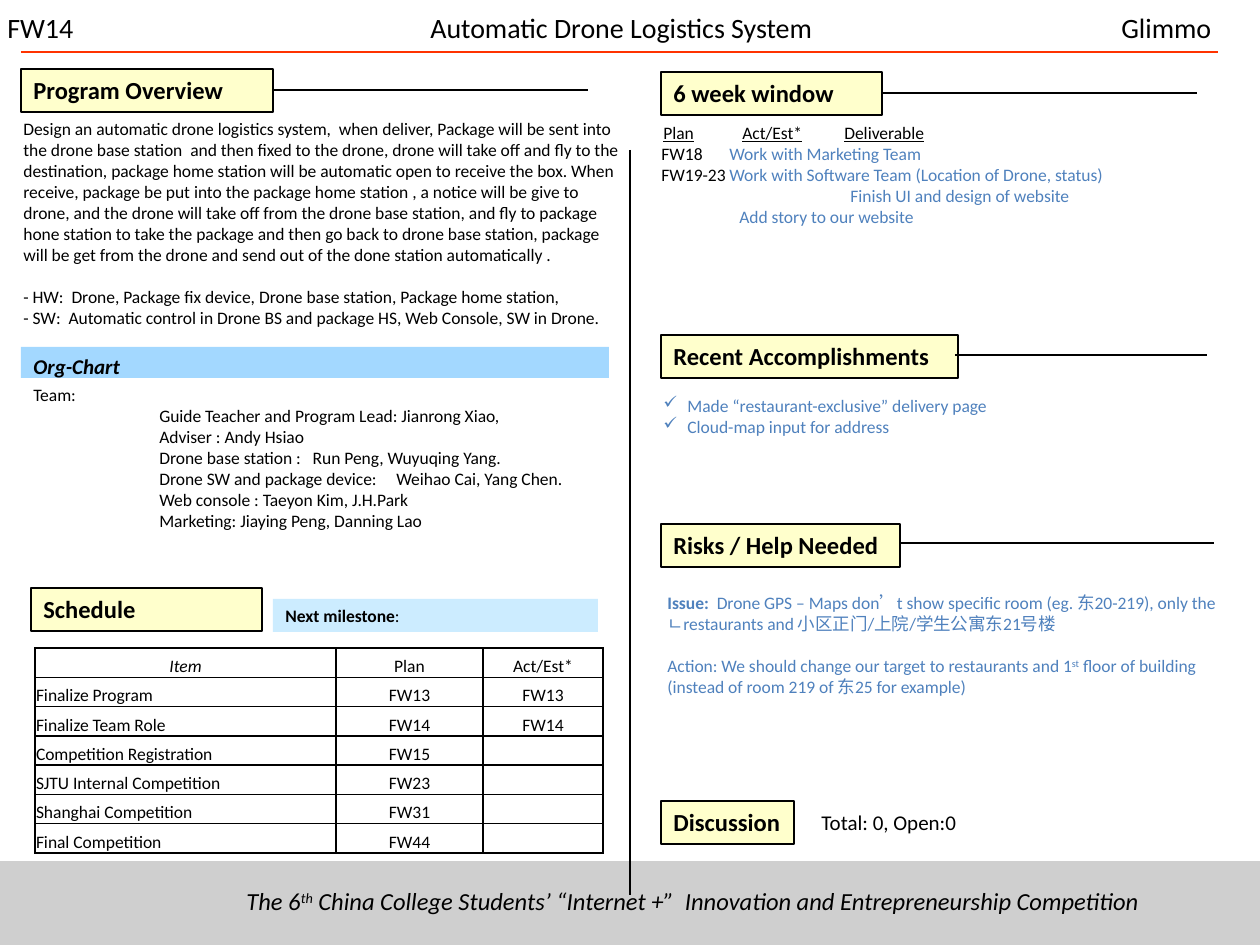
from lxml.etree import SubElement as Sub
from pptx import Presentation
from pptx.dml.color import RGBColor
from pptx.enum.shapes import MSO_CONNECTOR as Conn, MSO_SHAPE as Kind
from pptx.enum.text import MSO_ANCHOR as Anchor, PP_ALIGN as Align
from pptx.oxml.ns import qn
from pptx.util import Emu, Pt

SCALE = 914400 / 126
BLACK = RGBColor(0, 0, 0)
WHITE = RGBColor(255, 255, 255)
GREY = RGBColor(0xCF, 0xCF, 0xCF)
SKY = RGBColor(0xA3, 0xD8, 0xFF)
PALE = RGBColor(0xCC, 0xEC, 0xFF)
CREAM = RGBColor(0xFF, 0xFF, 0xCC)
BLUE = RGBColor(0x4F, 0x81, 0xBD)
RED = RGBColor(0xFF, 0x33, 0x00)

BOLD, PLAIN, ITAL = {"bold": True}, {}, {"italic": True}
UNDER, SUP = {"underline": True}, {"sup": True}
INK = {"color": BLACK}

# Bars: place, fill, runs, size
BARS = [
    ((0, 861, 1260, 84), GREY, None, 10),
    ((21, 347, 588, 31), SKY, [("Org-Chart", {**BOLD, **ITAL})], 12),
    ((273, 599, 325, 33), PALE, [("Next milestone", BOLD), (":", PLAIN)], 10),
]
# Section heads: title, place
HEADS = [
    ("Program Overview", (21, 69, 252, 43)),
    ("6 week window", (661, 72, 221, 43)),
    ("Schedule", (31, 588, 231, 43)),
    ("Recent Accomplishments", (661, 335, 297, 43)),
    ("Risks / Help Needed", (661, 524, 239, 43)),
    ("Discussion", (661, 801, 133, 43)),
]
# Lines: start, end, colour, width
LINES = [
    ((273, 90), (588, 90), BLACK, 0.75),
    ((882, 93), (1197, 93), BLACK, 0.75),
    ((955, 355), (1207, 355), BLACK, 0.75),
    ((900, 543), (1214, 543), BLACK, 0.75),
    ((630, 150), (630, 895), BLACK, 0.75),
    ((21, 52), (1218, 52), RED, 1.5),
]
# Texts: place, base format, paragraph format, paragraphs
TEXTS = [
    ((-5, 4, 1260, 47), {"size": 16}, {"tabs": [(614, "ctr"), (1114, "l")]},
     ["FW14\tAutomatic Drone Logistics System\tGlimmo"]),
    ((11, 112, 620, 224), {}, {}, [
        "Design an automatic drone logistics system,  when deliver, Package will "
        "be sent into the drone base station  and then fixed to the drone, drone "
        "will take off and fly to the destination, package home station will be "
        "automatic open to receive the box. When receive, package be put into the "
        "package home station , a notice will be give to drone, and the drone will "
        "take off from the drone base station, and fly to package hone station to "
        "take the package and then go back to drone base station, package will be "
        "get from the drone and send out of the done station automatically ."]),
    ((11, 280, 620, 56), {}, {}, [
        "- HW:  Drone, Package fix device, Drone base station, Package home station,",
        "- SW:  Automatic control in Drone BS and package HS, Web Console, SW in Drone."]),
    ((21, 378, 577, 204), {}, {"tabs": [(126, "l")]}, [
        "Team:",
        "\tGuide Teacher and Program Lead: Jianrong Xiao,",
        "\tAdviser : Andy Hsiao",
        "\tDrone base station :   Run Peng, Wuyuqing Yang.",
        "\tDrone SW and package device:     Weihao Cai, Yang Chen.",
        "\tWeb console : Taeyon Kim, J.H.Park",
        "\tMarketing: Jiaying Peng, Danning Lao"]),
    ((651, 116, 588, 55), {}, {"tabs": [(79, "l"), (181, "l")]}, [
        [("Plan", UNDER), ("\t", PLAIN), ("Act/Est*", UNDER), ("\t", PLAIN),
         ("Deliverable", UNDER)]]),
    ((649, 137, 609, 97), {"color": BLUE}, {"tabs": [(68, "l")]}, [
        [("FW18", INK), ("\tWork with Marketing Team", PLAIN)],
        [("FW19-23", INK),
         ("\tWork with Software Team (Location of Drone, status)", PLAIN)]]),
    ((649, 179, 609, 55), {"color": BLUE}, {"tabs": [(78, "l"), (189, "l")]}, [
        "\t\tFinish UI and design of website",
        "\tAdd story to our website"]),
    ((651, 389, 588, 140), {"color": BLUE}, {"mark": "\u2713"}, [
        "Made “restaurant-exclusive” delivery page",
        "Cloud-map input for address"]),
    ((655, 586, 588, 161), {"color": BLUE}, {"gap": 12}, [
        [("Issue:  ", BOLD),
         ("Drone GPS – Maps don’t show specific room (eg. 东20-219), only the "
          "ㄴrestaurants and 小区正门/上院/学生公寓东21号楼", PLAIN)],
        [("Action: We should change our target to restaurants and 1", PLAIN),
         ("st", SUP),
         (" floor of building (instead of room 219 of 东25 for example)", PLAIN)]]),
    ((809, 803, 409, 38), {"size": 12}, {}, ["Total: 0, Open:0"]),
    ((234, 880, 964, 43), {"size": 14, "italic": True}, {}, [
        [("The 6", PLAIN), ("th", SUP),
         (" China College Students’ “Internet +”  Innovation and "
          "Entrepreneurship Competition", PLAIN)]]),
]
PLAN = [
    ("Item", "Plan", "Act/Est*"),
    ("Finalize Program", "FW13", "FW13"),
    ("Finalize Team Role", "FW14", "FW14"),
    ("Competition Registration", "FW15", ""),
    ("SJTU Internal Competition", "FW23", ""),
    ("Shanghai Competition", "FW31", ""),
    ("Final Competition", "FW44", ""),
]
GRID, COLS = (35, 648, 568, 205), (301, 147, 120)


def px(val):
    """Turn pixels into EMU."""
    return Emu(round(val * SCALE))


def box(place):
    """Turn a pixel box into EMU."""
    return [px(val) for val in place]


def fill_par(par, runs, base):
    """Write formatted runs into a paragraph."""
    for text, extra in [(runs, {})] if isinstance(runs, str) else runs:
        run = par.add_run()
        run.text = text
        form = {"name": "Calibri", "size": 10, "color": BLACK, **base, **extra}
        if form.pop("sup", False):
            run._r.get_or_add_rPr().set("baseline", "30000")
        run.font.color.rgb = form.pop("color")
        form["size"] = Pt(form["size"])
        for key, val in form.items():
            setattr(run.font, key, val)


def lay_par(par, tabs=(), mark=None, gap=0):
    """Set bullet, tab stops and space before."""
    props = par._p.get_or_add_pPr()
    if mark:
        props.set("marL", str(px(24)))
        props.set("indent", str(-px(24)))
        Sub(props, qn("a:buChar"), char=mark)
    if tabs:
        stops = Sub(props, qn("a:tabLst"))
        for pos, side in tabs:
            Sub(stops, qn("a:tab"), pos=str(px(pos)), algn=side)
    if gap:
        par.space_before = Pt(gap)


def add_text(place, base, lay, pars):
    """Add a wrapped text box."""
    frame = shapes.add_textbox(*box(place)).text_frame
    frame.word_wrap = True
    for i, runs in enumerate(pars):
        par = frame.add_paragraph() if i else frame.paragraphs[0]
        lay_par(par, **{**lay, "gap": lay.get("gap", 0) if i else 0})
        fill_par(par, runs, base)


def add_bar(place, fill, runs, size, edge=None):
    """Add a filled box with a left label."""
    bar = shapes.add_shape(Kind.RECTANGLE, *box(place))
    bar.shadow.inherit = False
    bar.fill.solid()
    bar.fill.fore_color.rgb = fill
    if edge is None:
        bar.line.fill.background()
    else:
        bar.line.color.rgb, bar.line.width = edge, Pt(0.75)
    if runs:
        frame = bar.text_frame
        frame.word_wrap, frame.margin_right = True, 0
        frame.vertical_anchor = Anchor.TOP
        frame.paragraphs[0].alignment = Align.LEFT
        fill_par(frame.paragraphs[0], runs, {"size": size})


def add_line(start, end, color, width):
    """Add a straight line."""
    line = shapes.add_connector(Conn.STRAIGHT, *box(start + end))
    line.line.color.rgb, line.line.width = color, Pt(width)
    Sub(line._element.spPr, qn("a:effectLst"))


def add_cell(cell, text, row, col):
    """Write one cell with black borders."""
    form = {"margin_left": px(1), "margin_right": px(1), "margin_top": px(1),
            "margin_bottom": 0, "vertical_anchor": Anchor.BOTTOM}
    for key, val in form.items():
        setattr(cell, key, val)
    props = cell._tc.get_or_add_tcPr()
    for side in ("lnL", "lnR", "lnT", "lnB"):
        edge = Sub(props, qn("a:" + side), w=str(Pt(1)))
        Sub(Sub(edge, qn("a:solidFill")), qn("a:srgbClr"), val=str(BLACK))
    cell.fill.background()
    par = cell.text_frame.paragraphs[0]
    par.alignment = Align.LEFT if row and not col else Align.CENTER
    if text:
        fill_par(par, text, PLAIN if row or col else ITAL)
    else:
        Sub(par._p, qn("a:endParaRPr"), sz="1000")


def add_plan():
    """Add the schedule table."""
    table = shapes.add_table(len(PLAN), len(COLS), *box(GRID)).table
    table.first_row = table.horz_banding = False
    for col, wide in zip(table.columns, COLS):
        col.width = px(wide)
    for r, vals in enumerate(PLAN):
        table.rows[r].height = px(GRID[3] / len(PLAN))
        for c, text in enumerate(vals):
            add_cell(table.cell(r, c), text, r, c)


deck = Presentation()
deck.slide_width, deck.slide_height = px(1260), px(945)
slide = deck.slides.add_slide(deck.slide_layouts[6])
slide.background.fill.solid()
slide.background.fill.fore_color.rgb = WHITE
shapes = slide.shapes
for bar in BARS:
    add_bar(*bar)
for title, place in HEADS:
    add_bar(place, CREAM, [(title, BOLD)], 14, BLACK)
for line in LINES:
    add_line(*line)
for text in TEXTS:
    add_text(*text)
add_plan()
deck.save("out.pptx")
